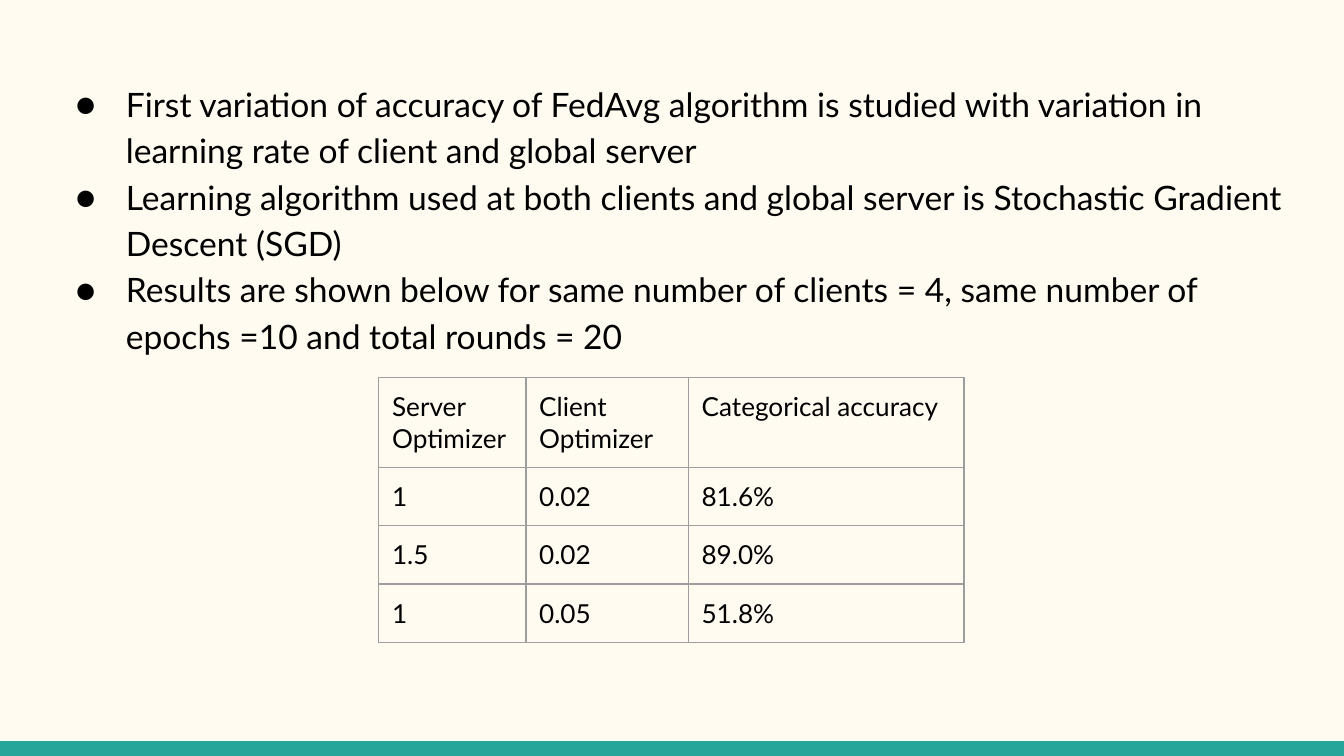
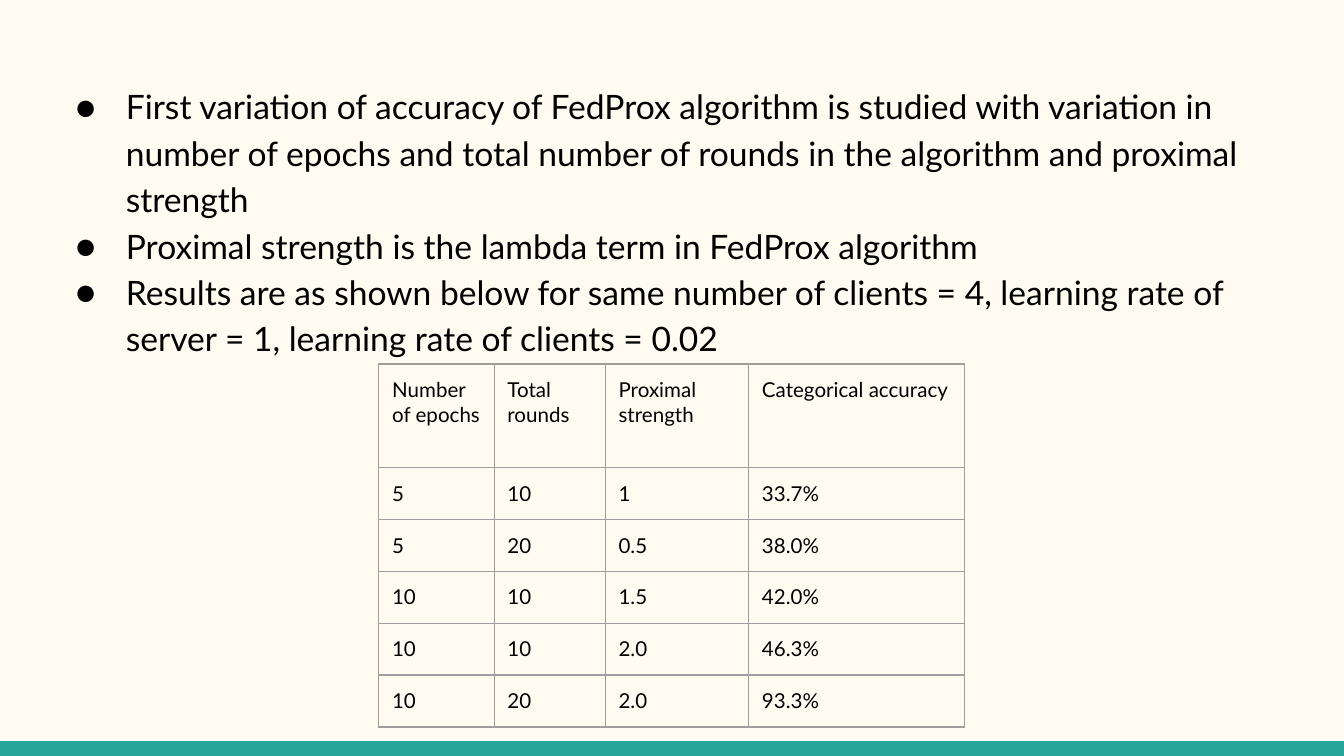
import lxml.etree
import pptx
import pptx.dml.color
import pptx.enum.shapes
import pptx.oxml.ns
import pptx.util

Cm = pptx.util.Cm
Pt = pptx.util.Pt
INSET = Cm(0.25)


def color(code):
    return pptx.dml.color.RGBColor.from_string(code)


def add_xml(parent, tag, **attributes):
    child = lxml.etree.SubElement(parent, pptx.oxml.ns.qn(tag))
    for name, value in attributes.items():
        child.set(name, str(value))
    return child


def write_text(para, text, size=18, font="Lato", ink="000000"):
    span = para.add_run()
    span.text = text
    span.font.size = Pt(size)
    span.font.name = font
    span.font.color.rgb = color(ink)


class ResultsDeck:
    """Hold the shared style and the current page of the results deck."""

    paper, teal, ink, rule = "FFFBF0", "26A69A", "000000", "9E9E9E"
    font = "Lato"
    width, height, band_height = Cm(25.4), Cm(14.29), Cm(0.28)

    def __init__(self):
        self.deck = pptx.Presentation()
        self.deck.slide_width = self.width
        self.deck.slide_height = self.height
        background = self.deck.slide_master.background.fill
        background.solid()
        background.fore_color.rgb = color(self.paper)
        self.page = None

    def add_page(self):
        self.page = self.deck.slides.add_slide(self.deck.slide_layouts[6])
        self.add_band()

    def add_band(self):
        band = self.page.shapes.add_shape(
            pptx.enum.shapes.MSO_SHAPE.RECTANGLE,
            0, self.height - self.band_height, self.width, self.band_height)
        band.shadow.inherit = False
        band.fill.solid()
        band.fill.fore_color.rgb = color(self.teal)
        band.line.fill.background()

    def add_bullets(self, top, lines):
        box = self.page.shapes.add_textbox(Cm(0.86), top, Cm(23.67), Cm(11.45))
        frame = box.text_frame
        frame.word_wrap = True
        frame.margin_left = frame.margin_right = INSET
        frame.margin_top = frame.margin_bottom = INSET
        for index, line in enumerate(lines):
            para = frame.add_paragraph() if index else frame.paragraphs[0]
            para.line_spacing = 1.15
            write_text(para, line, font=self.font, ink=self.ink)
            self.set_bullet(para)

    def set_bullet(self, para):
        properties = para._p.get_or_add_pPr()
        properties.set("marL", str(Cm(1.27)))
        properties.set("indent", str(-Cm(0.95)))
        add_xml(add_xml(properties, "a:buClr"), "a:srgbClr", val=self.ink)
        add_xml(properties, "a:buFont", typeface=self.font)
        add_xml(properties, "a:buChar", char="●")

    def add_table(self, top, widths, heights, rows, size):
        table = self.page.shapes.add_table(
            len(rows), len(widths), Cm(7.16), top,
            Cm(sum(widths)), Cm(sum(heights))).table
        table.first_row = table.horz_banding = False
        for column, width in zip(table.columns, widths):
            column.width = Cm(width)
        for row, height, values in zip(table.rows, heights, rows):
            row.height = Cm(height)
            for cell, value in zip(row.cells, values):
                cell.margin_left = cell.margin_right = INSET
                cell.margin_top = cell.margin_bottom = INSET
                write_text(cell.text_frame.paragraphs[0], value,
                           size=size, font=self.font, ink=self.ink)
                self.set_borders(cell)
                cell.fill.background()

    def set_borders(self, cell):
        properties = cell._tc.get_or_add_tcPr()
        for side in ("L", "R", "T", "B"):
            line = add_xml(properties, f"a:ln{side}", w=Pt(0.75))
            add_xml(add_xml(line, "a:solidFill"), "a:srgbClr", val=self.rule)


def main():
    results = ResultsDeck()

    results.add_page()
    results.add_bullets(Cm(1.22), [
        "First variation of accuracy of FedAvg algorithm is studied with "
        "variation in learning rate of client and global server",
        "Learning algorithm used at both clients and global server is "
        "Stochastic Gradient Descent (SGD)",
        "Results are shown below for same number of clients = 4, same number "
        "of epochs =10 and total rounds = 20",
    ])
    results.add_table(Cm(7.14), [2.78, 3.07, 5.21], [1.7] + [1.1] * 3, [
        ("Server Optimizer", "Client Optimizer", "Categorical accuracy"),
        ("1", "0.02", "81.6%"),
        ("1.5", "0.02", "89.0%"),
        ("1", "0.05", "51.8%"),
    ], size=14)

    results.add_page()
    results.add_bullets(Cm(1.27), [
        "First variation of accuracy of FedProx algorithm is studied with "
        "variation in number of epochs and total number of rounds in the "
        "algorithm and proximal strength",
        "Proximal strength is the lambda term in FedProx algorithm",
        "Results are as shown below for same number of clients = 4, learning "
        "rate of server = 1, learning rate of clients = 0.02",
    ])
    results.add_table(Cm(6.88), [2.18, 2.1, 2.71, 4.08], [1.96] + [0.98] * 5, [
        ("Number of epochs", "Total rounds", "Proximal strength",
         "Categorical accuracy"),
        ("5", "10", "1", "33.7%"),
        ("5", "20", "0.5", "38.0%"),
        ("10", "10", "1.5", "42.0%"),
        ("10", "10", "2.0", "46.3%"),
        ("10", "20", "2.0", "93.3%"),
    ], size=11)

    results.deck.save("out.pptx")


if __name__ == "__main__":
    main()
